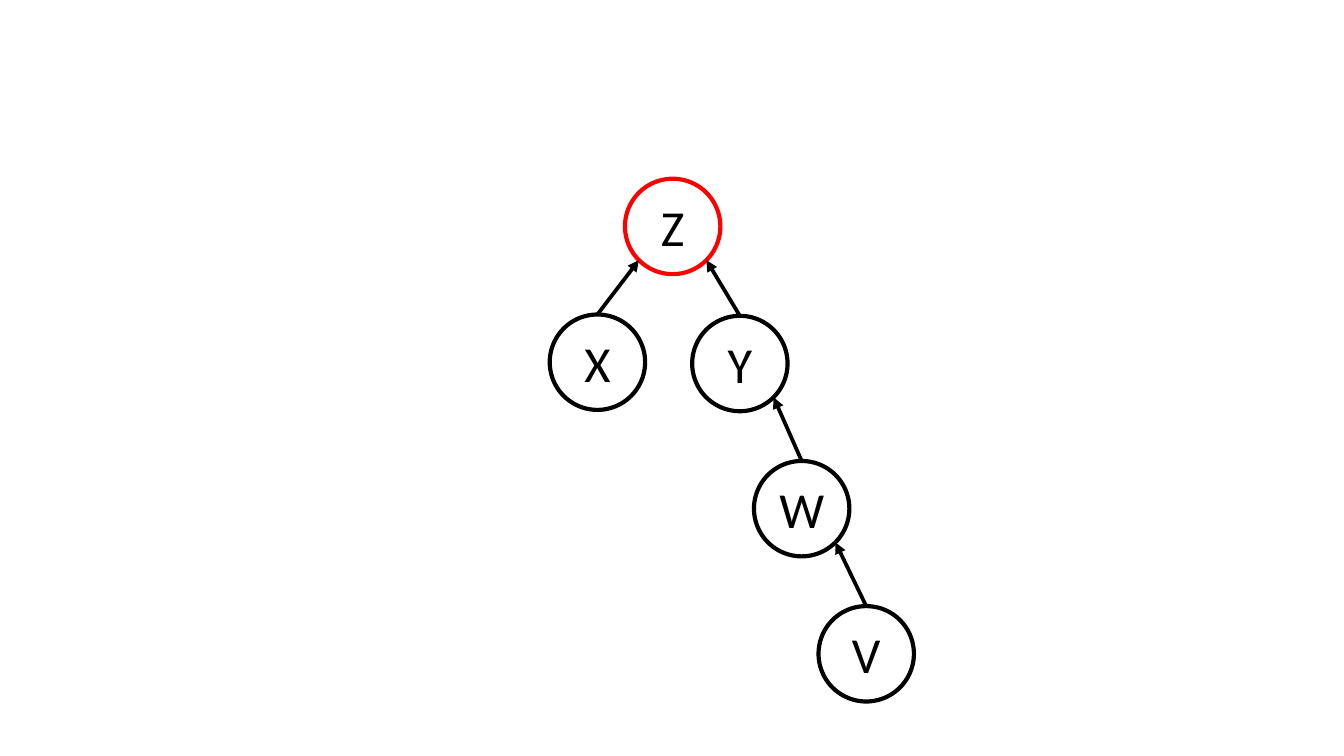
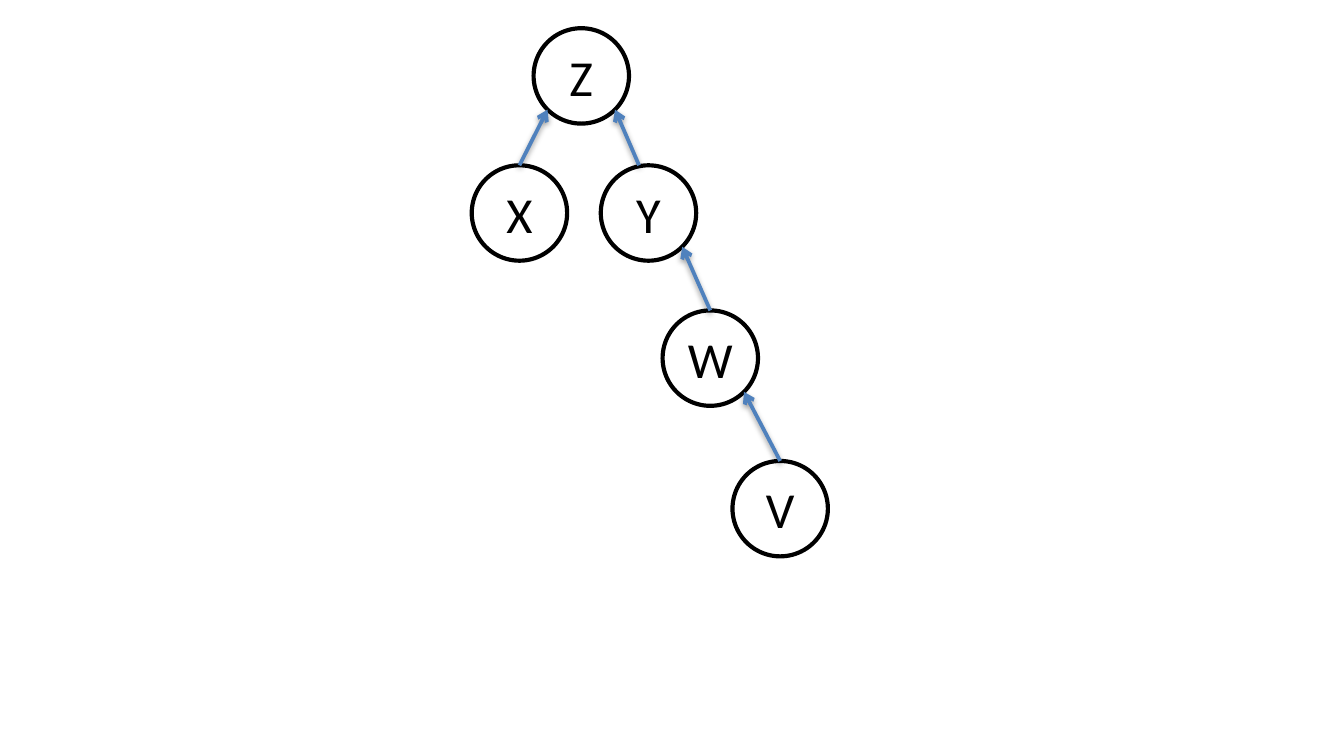
from dataclasses import dataclass
from math import sqrt

from lxml import etree
from pptx import Presentation
from pptx.dml.color import RGBColor
from pptx.enum.shapes import MSO_CONNECTOR, MSO_SHAPE
from pptx.enum.text import MSO_ANCHOR, PP_ALIGN
from pptx.oxml.ns import qn
from pptx.util import Inches, Pt

ELLIPSE = MSO_SHAPE.OVAL
STRAIGHT = MSO_CONNECTOR.STRAIGHT
MIDDLE = MSO_ANCHOR.MIDDLE
CENTER = PP_ALIGN.CENTER
TOP_SITE = 0
BLANK_LAYOUT = 6


@dataclass(frozen=True)
class Theme:
    black: RGBColor = RGBColor(0x00, 0x00, 0x00)
    red: RGBColor = RGBColor(0xFF, 0x00, 0x00)
    blue: RGBColor = RGBColor(0x4F, 0x81, 0xBD)
    font: str = "Calibri"
    label_size: float = 27
    outline_width: float = 2.25
    arrow_width: float = 2


THEME = Theme()
SLIDE_WIDTH = 10
DIAMETER = 0.71

TREES = [
    {
        "nodes": {"V": (6.09, 4.51), "Z": (4.65, 1.33), "Y": (5.15, 2.35),
                  "W": (5.61, 3.43), "X": (4.09, 2.34)},
        "highlighted": "Z",
        "arrow": {"color": THEME.black, "head": "triangle", "shadow": False},
        "start_shifts": {},
    },
    {
        "nodes": {"Z": (3.97, 0.21), "Y": (4.47, 1.23), "W": (4.93, 2.31),
                  "X": (3.51, 1.23), "V": (5.45, 3.43)},
        "highlighted": None,
        "arrow": {"color": THEME.blue, "head": "arrow", "shadow": True},
        "start_shifts": {"Y": -0.07},
    },
]

PARENTS = {"V": "W", "W": "Y", "Y": "Z", "X": "Z"}


def add_node(slide, label, position, color):
    left, top = position
    node = slide.shapes.add_shape(ELLIPSE, Inches(left), Inches(top),
                                  Inches(DIAMETER), Inches(DIAMETER))
    node.shadow.inherit = False
    node.fill.background()
    node.line.color.rgb = color
    node.line.width = Pt(THEME.outline_width)
    frame = node.text_frame
    frame.word_wrap = True
    frame.vertical_anchor = MIDDLE
    frame.margin_left = frame.margin_right = Inches(0.07)
    frame.margin_top = frame.margin_bottom = Inches(0.04)
    paragraph = frame.paragraphs[0]
    paragraph.alignment = CENTER
    run = paragraph.add_run()
    run.text = label
    run.font.name = THEME.font
    run.font.size = Pt(THEME.label_size)
    run.font.color.rgb = THEME.black
    return node


def style_arrow(connector, color, head, shadow):
    connector.line.color.rgb = color
    connector.line.width = Pt(THEME.arrow_width)
    properties = connector._element.spPr
    etree.SubElement(properties.find(qn("a:ln")), qn("a:tailEnd"), type=head)
    effects = etree.SubElement(properties, qn("a:effectLst"))
    if shadow:
        outer = etree.SubElement(effects, qn("a:outerShdw"), blurRad=str(Pt(3.1)),
                                 dist=str(Pt(1.6)), dir="5400000", rotWithShape="0")
        shade = etree.SubElement(outer, qn("a:srgbClr"), val=str(THEME.black))
        etree.SubElement(shade, qn("a:alpha"), val="38000")


def add_arrow(slide, child, parent, start_shift, style):
    radius = parent.width / 2
    child_center = child.left + child.width // 2
    parent_center = parent.left + radius
    side = 1 if child_center > parent_center else -1
    end_x = round(parent_center + side * radius / sqrt(2))
    end_y = round(parent.top + radius + radius / sqrt(2))
    connector = slide.shapes.add_connector(
        STRAIGHT, child_center + Inches(start_shift), child.top, end_x, end_y)
    if not start_shift:
        connector.begin_connect(child, TOP_SITE)
    style_arrow(connector, **style)


def add_tree(presentation, tree):
    slide = presentation.slides.add_slide(presentation.slide_layouts[BLANK_LAYOUT])
    nodes = {}
    for label, position in tree["nodes"].items():
        color = THEME.red if label == tree["highlighted"] else THEME.black
        nodes[label] = add_node(slide, label, position, color)
    for child, parent in PARENTS.items():
        add_arrow(slide, nodes[child], nodes[parent],
                  tree["start_shifts"].get(child, 0), tree["arrow"])


def main():
    presentation = Presentation()
    presentation.slide_width = Inches(SLIDE_WIDTH)
    presentation.slide_height = Inches(SLIDE_WIDTH * 9 / 16)
    for tree in TREES:
        add_tree(presentation, tree)
    presentation.save("out.pptx")


if __name__ == "__main__":
    main()
